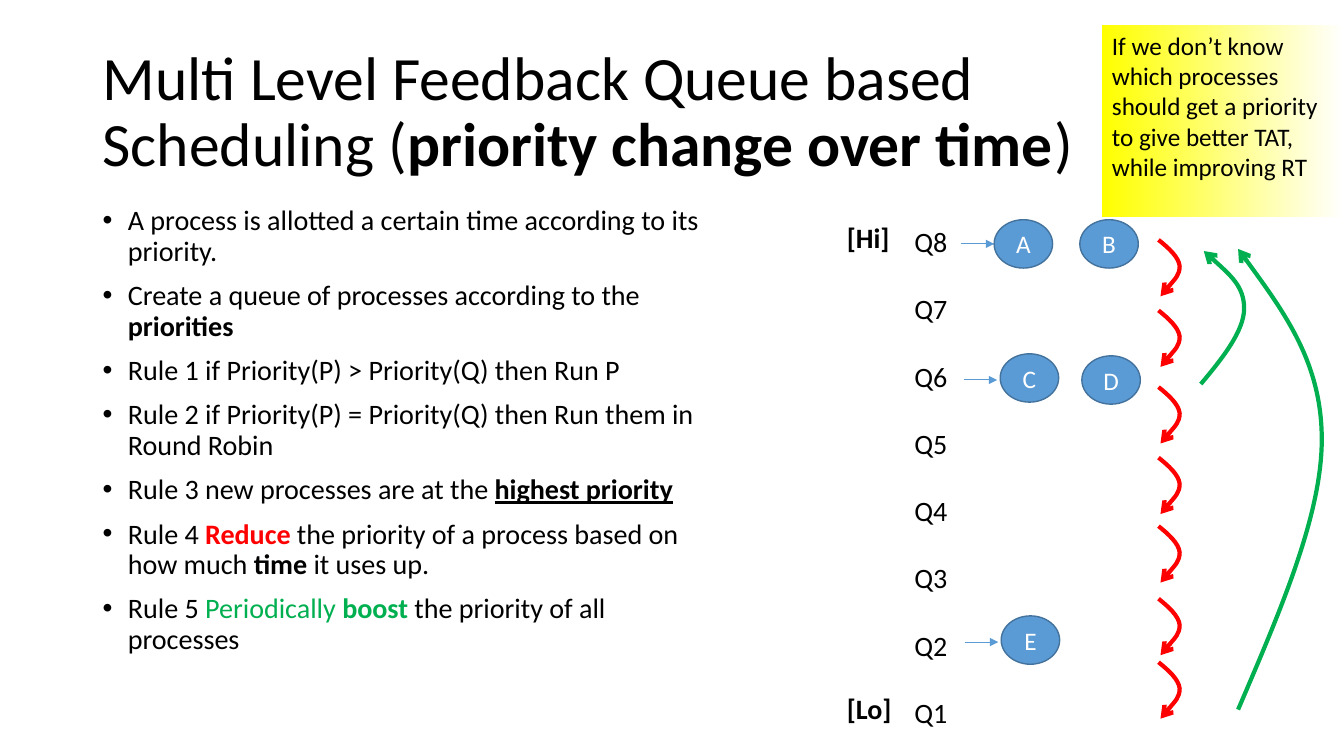
from lxml.etree import SubElement
from pptx import Presentation
from pptx.dml.color import RGBColor
from pptx.enum.shapes import MSO_CONNECTOR as Connector, MSO_SHAPE as Shape
from pptx.enum.text import MSO_ANCHOR as Anchor, PP_ALIGN as Align
from pptx.oxml.ns import qn
from pptx.util import Pt

PX = 9144  # one hundredth of an inch
FONT = "Calibri"
COLOURS = {
    "black": "000000", "white": "FFFFFF", "yellow": "FFFF00", "red": "FF0000",
    "green": "00B050", "blue": "5B9BD5", "outline": "43729D",
}

TITLE = [("Multi Level Feedback Queue based Scheduling (",),
         ("priority change over time", "bold"), (")",)]
RULES = [
    [("A process is allotted a certain time according to its priority.",)],
    [("Create a queue of processes according to the ",), ("priorities", "bold")],
    [("Rule 1 if Priority(P) > Priority(Q) then Run P",)],
    [("Rule 2 if Priority(P) = Priority(Q) then Run them in Round Robin",)],
    [("Rule 3 new processes are at the ",),
     ("highest priority", "bold", "underline")],
    [("Rule 4 ",), ("Reduce", "bold", "red"),
     (" the priority of a process based on how much ",), ("time", "bold"),
     (" it uses up.",)],
    [("Rule 5 ",), ("Periodically ", "green"), ("boost ", "bold", "green"),
     ("the priority of all processes",)],
]
NOTE = ("If we don’t know which processes should get a priority "
        "to give better TAT, while improving RT")
PROCESSES = [("A", 986, 218), ("B", 1071, 218), ("C", 992, 351),
             ("D", 1073, 353), ("E", 993, 611)]
QUEUE_ARROWS = [(953, 242), (956, 377), (957, 637)]
DEMOTION_TOPS = [238, 308, 384, 454, 522, 594, 657]
DEMOTION = [(0, 0), (10, 8), (20, 17), (21, 26), (21, 35), (11, 45), (2, 56)]
BOOSTS = [
    [(1191, 381), (1213, 355), (1234, 328), (1234, 306),
     (1234, 284), (1214, 267), (1194, 249)],
    [(1228, 704), (1269, 608), (1311, 512), (1311, 436),
     (1311, 360), (1269, 303), (1228, 247)],
]


def rgb(colour):
    return RGBColor.from_string(COLOURS[colour])


def box(*lengths):
    return [length * PX for length in lengths]


def add_runs(paragraph, runs, size, colour="black"):
    """Each run is its text followed by marks: bold, underline or a colour."""
    for text, *marks in runs:
        run = paragraph.add_run()
        run.text = text
        font = run.font
        font.name, font.size = FONT, Pt(size)
        font.bold = "bold" in marks
        font.underline = "underline" in marks
        font.color.rgb = rgb(next((m for m in marks if m in COLOURS), colour))


def add_text(slide, place, paragraphs, size, gap=0, spacing=1.0, wrap=True):
    """Write paragraphs of runs, with gap points between them."""
    frame = slide.shapes.add_textbox(*box(*place)).text_frame
    frame.word_wrap = wrap
    for index, runs in enumerate(paragraphs):
        paragraph = frame.add_paragraph() if index else frame.paragraphs[0]
        paragraph.space_before = Pt(gap if index else 0)
        paragraph.line_spacing = spacing
        add_runs(paragraph, runs, size)
    return frame


def add_bullets(frame):
    for paragraph in frame.paragraphs:
        props = paragraph._p.get_or_add_pPr()
        props.set("marL", str(25 * PX))
        props.set("indent", str(-25 * PX))
        SubElement(props, qn("a:buFont"), typeface="Arial")
        SubElement(props, qn("a:buChar"), char="•")


def style_arrow(arrow, colour, width, head):
    arrow.line.color.rgb = rgb(colour)
    arrow.line.width = Pt(width)
    SubElement(arrow.line._get_or_add_ln(), qn("a:tailEnd"), type=head)


def add_queue_arrow(slide, left, y):
    arrow = slide.shapes.add_connector(
        Connector.STRAIGHT, *box(left, y, left + 33, y))
    style_arrow(arrow, "blue", 0.75, "triangle")
    SubElement(arrow._element.spPr, qn("a:effectLst"))


def bend(outline):
    """Turn every three straight segments into one cubic curve."""
    segments = list(outline._element.iter(qn("a:lnTo")))
    for first in range(0, len(segments), 3):
        curve = SubElement(segments[first].getparent(), qn("a:cubicBezTo"))
        for segment in segments[first:first + 3]:
            curve.append(segment[0])
            segment.getparent().remove(segment)


def add_curved_arrow(shapes, controls, colour):
    builder = shapes.build_freeform(*controls[0], scale=PX)
    builder.add_line_segments(controls[1:], close=False)
    arrow = builder.convert_to_shape()
    bend(arrow)
    arrow.shadow.inherit = False
    arrow.fill.background()
    style_arrow(arrow, colour, 3, "arrow")


def add_process(slide, name, left, top):
    process = slide.shapes.add_shape(Shape.OVAL, *box(left, top, 58, 48))
    process.shadow.inherit = False
    process.fill.solid()
    process.fill.fore_color.rgb = rgb("blue")
    process.line.color.rgb = rgb("outline")
    process.line.width = Pt(1)
    frame = process.text_frame
    frame.vertical_anchor = Anchor.MIDDLE
    frame.paragraphs[0].alignment = Align.CENTER
    add_runs(frame.paragraphs[0], [(name,)], 18, "white")


def add_note(slide):
    note = slide.shapes.add_shape(Shape.RECTANGLE, *box(1093, 25, 240, 190))
    note.shadow.inherit = False
    note.line.fill.background()
    note.fill.gradient()
    note.fill.gradient_angle = 0
    for stop, position, colour in zip(
            note.fill.gradient_stops, (0, 1), ("yellow", "white")):
        stop.position = position
        stop.color.rgb = rgb(colour)
    frame = note.text_frame
    frame.word_wrap = True
    frame.vertical_anchor = Anchor.TOP
    frame.paragraphs[0].alignment = Align.LEFT
    add_runs(frame.paragraphs[0], [(NOTE,)], 18)


def main():
    deck = Presentation()
    deck.slide_width, deck.slide_height = box(1333, 750)
    slide = deck.slides.add_slide(deck.slide_layouts[6])

    title = add_text(slide, (92, 40, 1150, 145), [TITLE], 44, spacing=0.9)
    title.vertical_anchor = Anchor.MIDDLE
    add_bullets(add_text(slide, (92, 200, 632, 529), RULES, 20.1,
                         gap=10, spacing=0.9))

    queues = [[(f"Q{level}",)] for level in range(8, 0, -1)]
    add_text(slide, (897, 218, 59, 510), queues, 20, gap=24, wrap=False)
    ends = [[("[Hi]", "bold")], [("[Lo]", "bold")]]
    add_text(slide, (830, 214, 82, 510), ends, 20, gap=312, wrap=False)

    for left, y in QUEUE_ARROWS:
        add_queue_arrow(slide, left, y)
    add_note(slide)
    for name, left, top in PROCESSES:
        add_process(slide, name, left, top)

    demotions = slide.shapes.add_group_shape().shapes
    for top in DEMOTION_TOPS:
        add_curved_arrow(demotions, [(1149 + x, top + y) for x, y in DEMOTION], "red")
    for controls in BOOSTS:
        add_curved_arrow(slide.shapes, controls, "green")

    deck.save("out.pptx")


if __name__ == "__main__":
    main()
